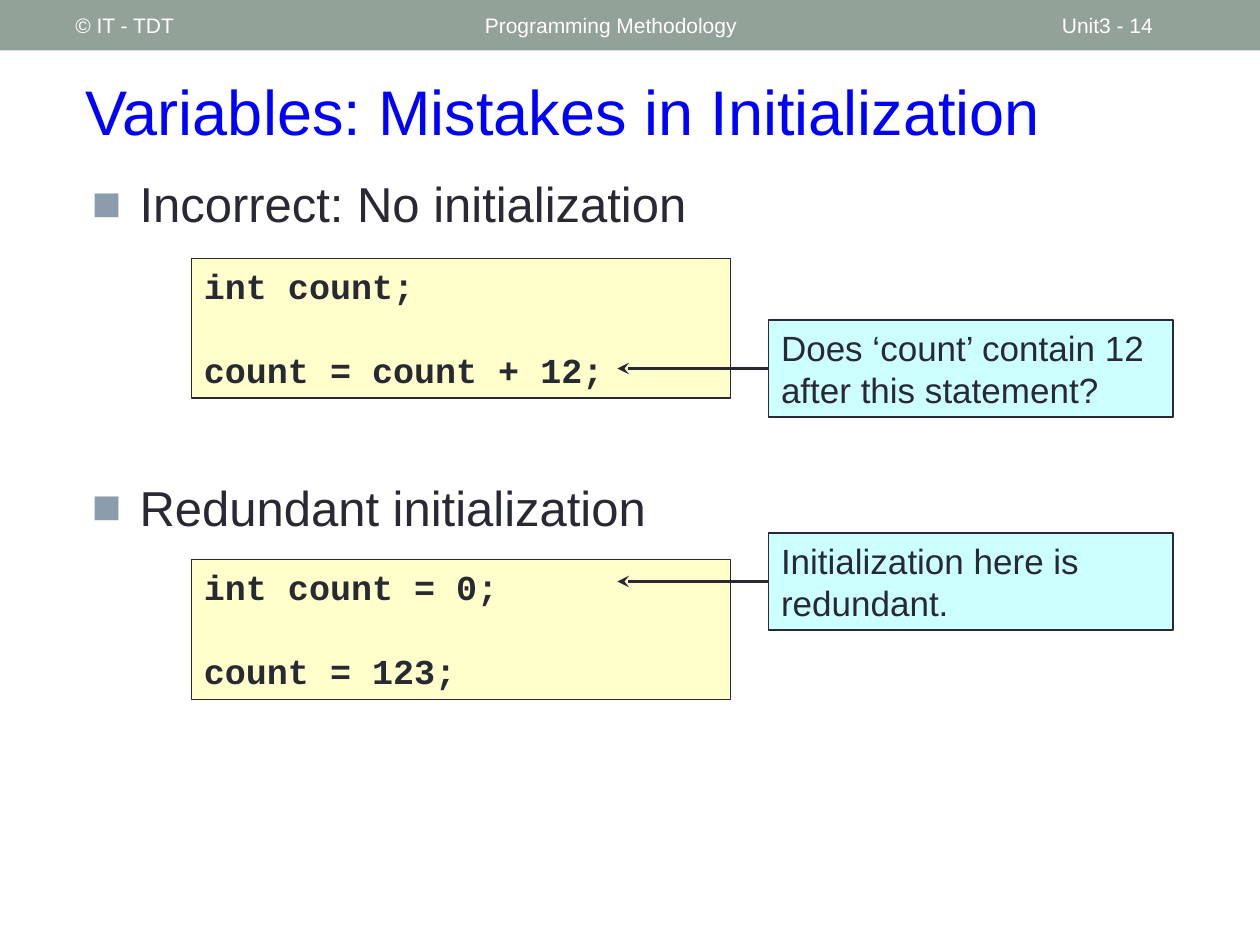
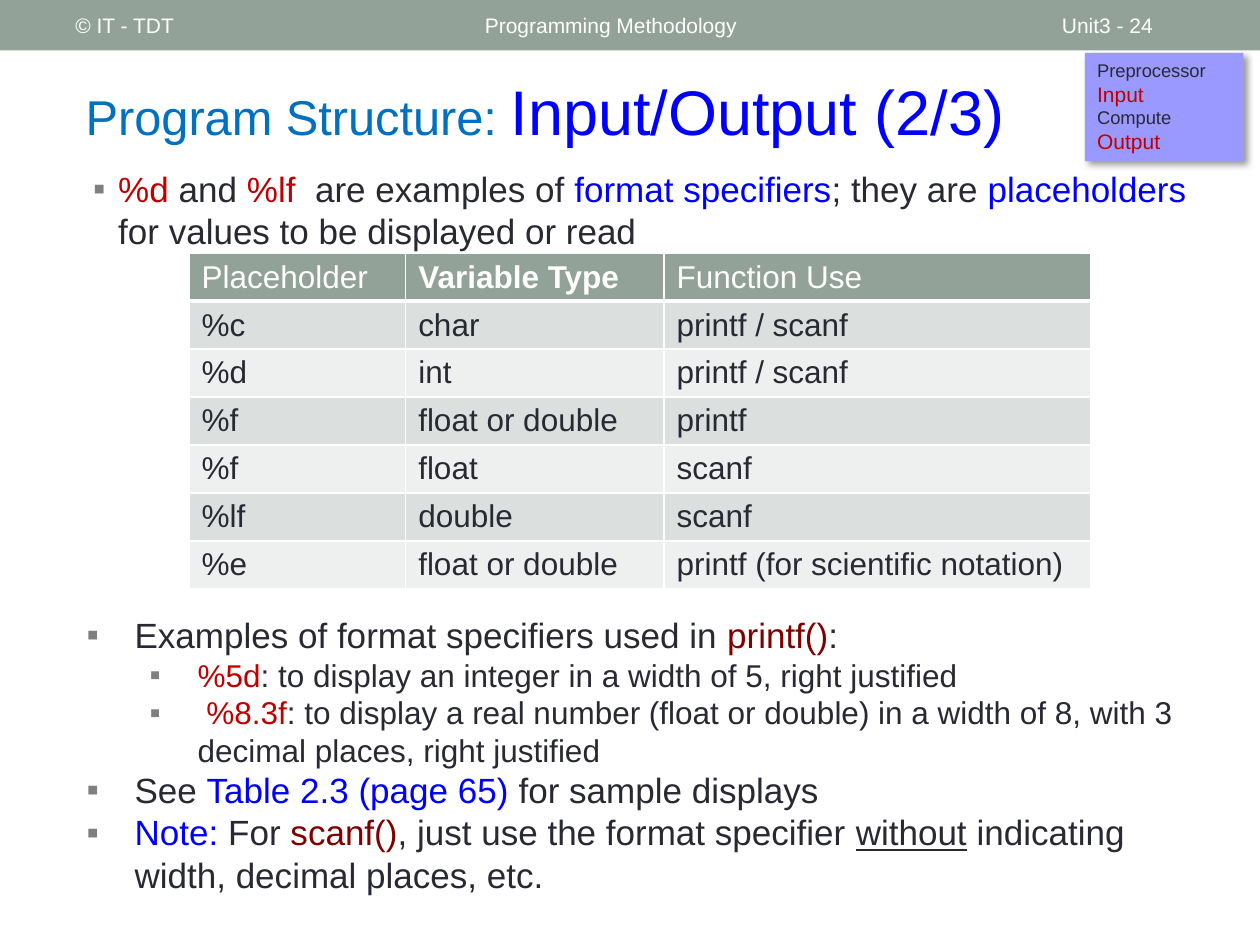
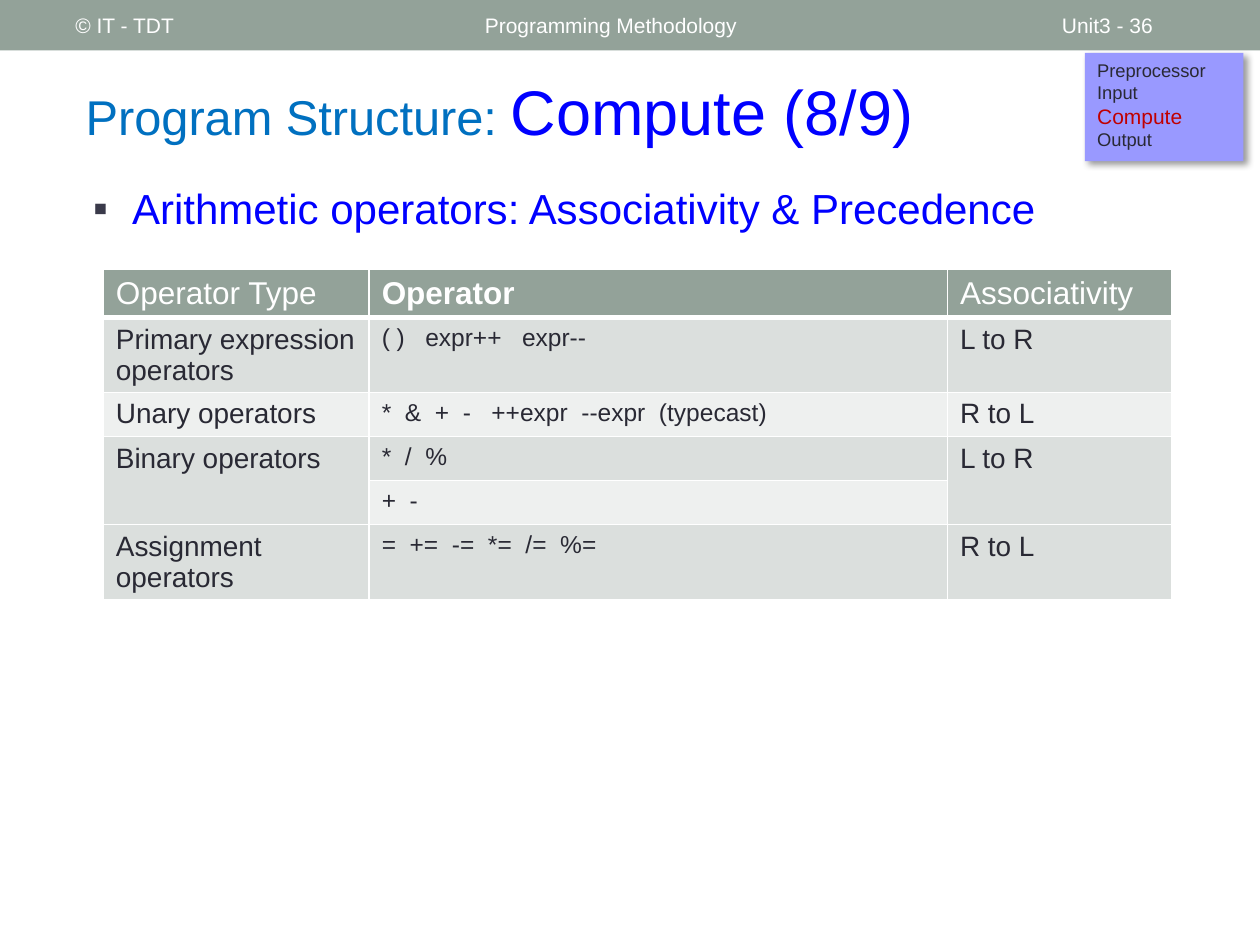
import pptx
import pptx.util
import pptx.dml.color
import pptx.enum.shapes
import pptx.enum.text
import pptx.oxml
import pptx.oxml.ns

COLOURS = {
    "band": "93A299", "white": "FFFFFF", "ink": "292934", "blue": "0000FF",
    "sky": "0070C0", "red": "C00000", "maroon": "800000", "code": "FFFFCC",
    "note": "CCFFFF", "outline": "292934", "steps": "9999FF", "shadow": "000000",
    "odd row": "DBDFDD", "even row": "EEF0EF",
    "square": "8B9CAC", "grey bullet": "7F7F7F", "dark bullet": "3A3A4A",
}
COLUMNS, ROWS = 100, 75  # grid of the slide
ANCHOR = pptx.enum.text.MSO_ANCHOR
STEPS = ("Preprocessor", "Input", "Compute", "Output")


def xml(tag, content="", **attributes):
    """Return an element of the drawing namespace."""
    pairs = "".join(f' {name}="{value}"' for name, value in attributes.items())
    return pptx.oxml.parse_xml(
        f'<a:{tag} {pptx.oxml.ns.nsdecls("a")}{pairs}>{content}</a:{tag}>')


def colour_xml(colour, inner=""):
    return f'<a:srgbClr val="{COLOURS[colour]}">{inner}</a:srgbClr>'


class Deck:
    def __init__(self):
        self.presentation = pptx.Presentation()
        self.presentation.slide_width = pptx.util.Inches(10)
        self.presentation.slide_height = pptx.util.Inches(7.5)
        self.slide = None

    # Grid and colour helpers
    def across(self, columns):
        return round(self.presentation.slide_width * columns / COLUMNS)

    def down(self, rows):
        return round(self.presentation.slide_height * rows / ROWS)

    def area(self, left, top, width, height):
        return self.across(left), self.down(top), self.across(width), self.down(height)

    def rgb(self, colour):
        return pptx.dml.color.RGBColor.from_string(COLOURS[colour])

    # Text
    def style(self, run, size, colour="ink", font="Arial", bold=False, underline=None):
        run.font.name = font
        run.font.size = pptx.util.Pt(size)
        run.font.color.rgb = self.rgb(colour)
        run.font.bold = bold
        run.font.underline = underline

    def add_runs(self, paragraph, parts, size, **options):
        """Add (text, style changes) parts as the runs of a paragraph."""
        paragraph.alignment = pptx.enum.text.PP_ALIGN.LEFT
        for text, changes in parts:
            run = paragraph.add_run()
            run.text = text
            self.style(run, **{"size": size, **options, **changes})

    def frame(self, shape, anchor=ANCHOR.TOP):
        frame = shape.text_frame
        frame.word_wrap = True
        frame.auto_size = pptx.enum.text.MSO_AUTO_SIZE.NONE
        frame.vertical_anchor = anchor
        return frame

    def lines(self, frame, count):
        return [frame.paragraphs[0]] + [frame.add_paragraph() for _ in range(count - 1)]

    def label(self, text, *area):
        box = self.slide.shapes.add_textbox(*self.area(*area))
        frame = self.frame(box, ANCHOR.MIDDLE)
        self.add_runs(frame.paragraphs[0], [(text, {})], 12, colour="white")

    def bullets(self, area, items, mark, mark_colour):
        """Add items of (indent, hanging, size, parts)."""
        frame = self.frame(self.slide.shapes.add_textbox(*self.area(*area)))
        for paragraph, (indent, hanging, size, parts) in zip(
                self.lines(frame, len(items)), items):
            self.add_runs(paragraph, parts, size)
            properties = paragraph._p.get_or_add_pPr()
            properties.set("marL", str(self.across(indent)))
            properties.set("indent", str(-self.across(hanging)))
            properties.append(xml("buClr", colour_xml(mark_colour)))
            properties.append(xml("buFont", typeface="Arial"))
            properties.append(xml("buChar", char=mark))

    # Slide with its band and title
    def new_slide(self, number, title):
        self.slide = self.presentation.slides.add_slide(self.presentation.slide_layouts[5])
        self.box("band", 0, 0, 100, 4)
        self.label("© IT - TDT", 5, 0.2, 31.7, 3.6)
        self.label("Programming Methodology", 37.5, 0.2, 45, 3.6)
        self.label(f"Unit3 - {number}", 83.3, 0.2, 11.7, 3.6)
        holder = self.slide.shapes.title
        holder.left, holder.top, holder.width, holder.height = self.area(5.8, 5, 89.2, 7.5)
        frame = self.frame(holder, ANCHOR.MIDDLE)
        self.add_runs(frame.paragraphs[0], title, 36, colour="blue")

    def structure_slide(self, number, topic, *active):
        prefix = ("Program Structure: ", {"size": 27.9, "colour": "sky"})
        self.new_slide(number, [prefix, (topic, {})])
        box = self.box("steps", 86.1, 4.2, 12.6, 8.6)
        shadow = xml("outerShdw", colour_xml("shadow", '<a:alpha val="40000"/>'),
                     blurRad=pptx.util.Pt(4), dist=pptx.util.Pt(3), dir=45 * 60000,
                     algn="tl", rotWithShape=0)
        box._element.spPr.find(pptx.oxml.ns.qn("a:effectLst")).append(shadow)
        for paragraph, step in zip(self.lines(self.frame(box), len(STEPS)), STEPS):
            size, colour = (12, "red") if step in active else (10.5, "ink")
            self.add_runs(paragraph, [(step, {})], size, colour=colour)

    # Shapes
    def box(self, colour, *area, line=None):
        shape = self.slide.shapes.add_shape(
            pptx.enum.shapes.MSO_SHAPE.RECTANGLE, *self.area(*area))
        shape.shadow.inherit = False
        shape.fill.solid()
        shape.fill.fore_color.rgb = self.rgb(colour)
        if line:
            shape.line.color.rgb = self.rgb(line)
            shape.line.width = pptx.util.Pt(0.75)
        else:
            shape.line.fill.background()
        return shape

    def code(self, top, first, last):
        frame = self.frame(self.box("code", 15.2, top, 42.8, 11.1, line="outline"))
        for paragraph, text in zip(self.lines(frame, 2), (first, last)):
            self.add_runs(paragraph, [(text, {})], 20, font="Courier New", bold=True)
        frame.paragraphs[1].space_before = pptx.util.Pt(24)

    def callout(self, top, text):
        left, height, tip = 61, 7.7, 49
        frame = self.frame(self.box("note", left, top, 32.1, height, line="outline"))
        self.add_runs(frame.paragraphs[0], [(text, {})], 20)
        middle = self.down(top + height / 2)
        arrow = self.slide.shapes.add_connector(
            pptx.enum.shapes.MSO_CONNECTOR.STRAIGHT,
            self.across(left), middle, self.across(tip), middle)
        arrow.line.color.rgb = self.rgb("outline")
        arrow.line.width = pptx.util.Pt(2.25)
        arrow.line._get_or_add_ln().append(xml("tailEnd", type="stealth"))
        arrow._element.spPr.append(xml("effectLst"))

    # Table
    def cell(self, cell, text, size, fill, edges, **options):
        properties = cell._tc.get_or_add_tcPr()
        for side, width in zip("LRTB", edges):
            line_fill = f'<a:solidFill>{colour_xml("white")}</a:solidFill>'
            properties.append(xml(f"ln{side}", line_fill, w=pptx.util.Pt(width)))
        cell.fill.solid()
        cell.fill.fore_color.rgb = self.rgb(fill)
        cell.text = text
        for run in cell.text_frame.paragraphs[0].runs:
            self.style(run, size, **options)

    def table(self, left, top, widths, heights, rows, sizes, merges=()):
        """Draw a table; sizes holds the text size of each body column."""
        table = self.slide.shapes.add_table(
            len(rows), len(widths),
            *self.area(left, top, sum(widths), sum(heights))).table
        table.first_row = table.horz_banding = False
        for column, width in zip(table.columns, widths):
            column.width = self.across(width)
        for row, height in zip(table.rows, heights):
            row.height = self.down(height)
        for row, texts in enumerate(rows):
            for column, text in enumerate(texts):
                cell = table.cell(row, column)
                if row == 0:
                    self.cell(cell, text, 18, "band", (1, 1, 1, 3),
                              colour="white", bold=column == 1)
                else:
                    fill = "odd row" if row % 2 else "even row"
                    edges = (1, 1, 3 if row == 1 else 1, 1)
                    self.cell(cell, text, sizes[column], fill, edges)
        for column, first, last in merges:
            table.cell(first, column).merge(table.cell(last, column))


def coloured(*parts):
    """Pair each text with its colour; a plain string keeps the default."""
    return [(part, {}) if isinstance(part, str) else (part[0], {"colour": part[1]})
            for part in parts]


def mistakes_slide(deck):
    deck.new_slide(14, coloured("Variables: Mistakes in Initialization"))
    examples = [
        (13.3, "Incorrect: No initialization", 20.5, "int count;", "count = count + 12;",
         25.4, "Does ‘count’ contain 12 after this statement?"),
        (37.4, "Redundant initialization", 44.4, "int count = 0;", "count = 123;",
         42.3, "Initialization here is redundant."),
    ]
    for heading_top, heading, code_top, first, last, note_top, note in examples:
        deck.bullets((6.3, heading_top, 91.5, 7.7),
                     [(3.8, 3.8, 28, coloured(heading))], "■", "square")
        deck.code(code_top, first, last)
        deck.callout(note_top, note)


def input_output_slide(deck):
    deck.structure_slide(24, "Input/Output (2/3)", "Input", "Output")
    introduction = coloured(
        ("%d ", "red"), "and", (" %lf  ", "red"), "are examples of ",
        ("format specifiers", "blue"), "; they are ", ("placeholders ", "blue"),
        "for values to be displayed or read")
    deck.bullets((6.4, 12.8, 90, 7.8), [(2, 2, 20, introduction)], "▪", "grey bullet")
    rows = [
        ("Placeholder", "Variable Type", "Function Use"),
        ("%c", "char", "printf / scanf"),
        ("%d", "int", "printf / scanf"),
        ("%f", "float or double", "printf"),
        ("%f", "float", "scanf"),
        ("%lf", "double", "scanf"),
        ("%e", "float or double", "printf (for scientific notation)"),
    ]
    deck.table(15, 20.1, (17.2, 20.5, 33.9), [3.8] * len(rows), rows, (18, 18, 18))
    main_point, detail = (3.8, 3.8, 20), (8.8, 3.8, 18)
    deck.bullets((5.9, 48.2, 90, 22.5), [
        (*main_point, coloured("Examples of format specifiers used in ",
                               ("printf()", "maroon"), ":")),
        (*detail, coloured(("%5d", "red"),
                           ": to display an integer in a width of 5, right justified")),
        (*detail, coloured((" %8.3f", "red"),
                           ": to display a real number (float or double) in a width of 8, "
                           "with 3 decimal places, right justified")),
        (*main_point, coloured("See ", ("Table 2.3 (page 65) ", "blue"),
                               "for sample displays")),
        (*main_point, coloured(("Note: ", "blue"), "For ", ("scanf()", "maroon"),
                               ", just use the format specifier ")
         + [("without", {"underline": True})]
         + coloured(" indicating width, decimal places, etc.")),
    ], "▪", "grey bullet")


def compute_slide(deck):
    deck.structure_slide(36, "Compute (8/9)", "Compute")
    heading = coloured(("Arithmetic operators: Associativity & Precedence", "blue"))
    deck.bullets((6.4, 14, 90, 6.7), [(3.1, 3.1, 24, heading)], "▪", "dark bullet")
    rows = [
        ("Operator Type", "Operator", "Associativity"),
        ("Primary expression operators", "( )   expr++   expr--", "L to R"),
        ("Unary operators", "*  &  +  -   ++expr  --expr  (typecast)", "R to L"),
        ("Binary operators", "*  /  %", "L to R"),
        ("", "+  -", ""),
        ("Assignment operators", "=  +=  -=  *=  /=  %=", "R to L"),
    ]
    deck.table(8.2, 21.4, (21.1, 45.9, 17.8), (3.8, 5.9, 3.5, 3.5, 3.5, 5.9), rows,
               (16, 14, 16), merges=[(0, 3, 4), (2, 3, 4)])


def main():
    deck = Deck()
    mistakes_slide(deck)
    input_output_slide(deck)
    compute_slide(deck)
    deck.presentation.save("out.pptx")


if __name__ == "__main__":
    main()
